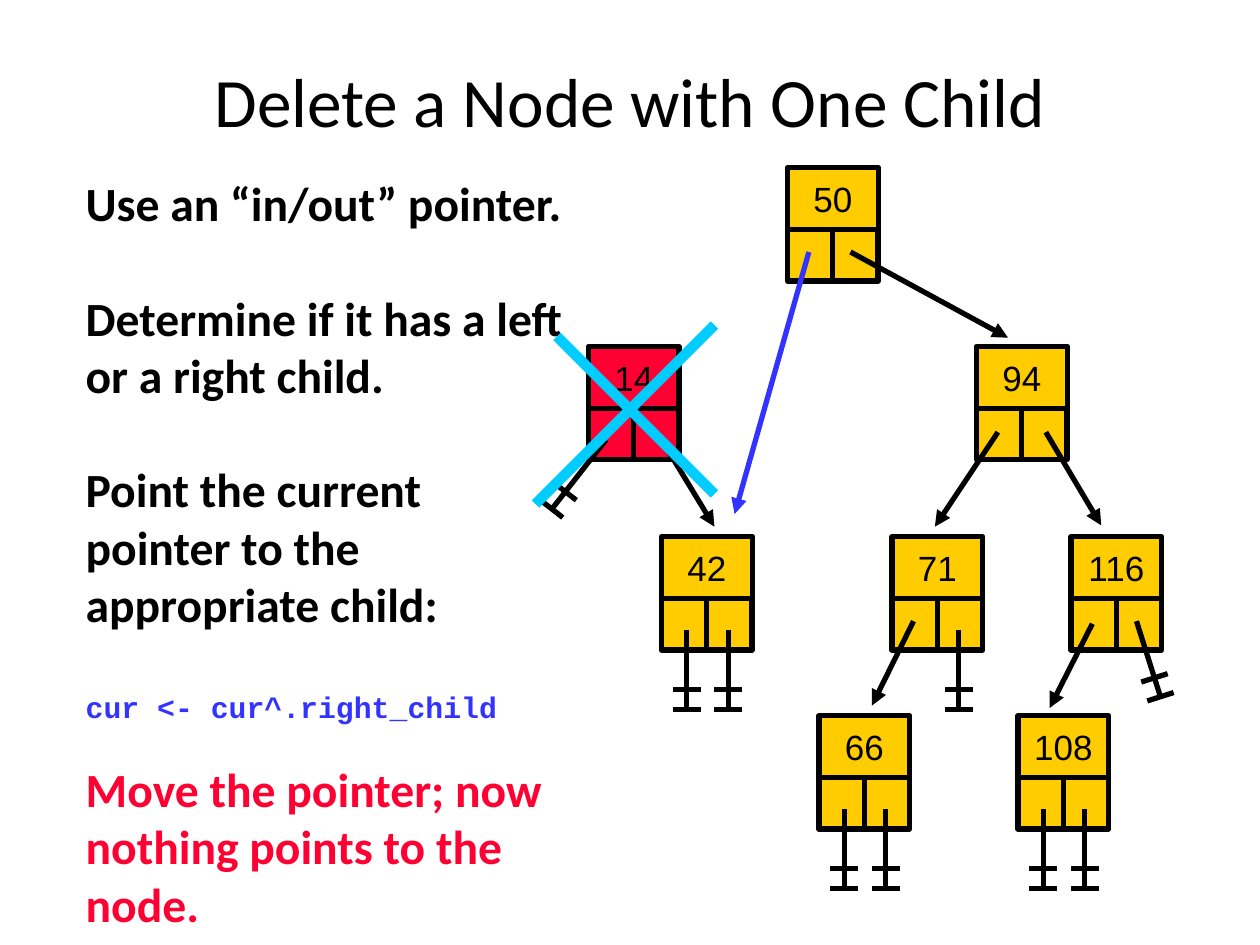
"""Build the slide on deleting a binary tree node that has one child."""
import math
from dataclasses import dataclass
from typing import NamedTuple

import pptx
import pptx.dml.color
import pptx.enum.shapes
import pptx.enum.text
import pptx.oxml.ns
import pptx.util
from lxml import etree

Inches = pptx.util.Inches
Pt = pptx.util.Pt
qn = pptx.oxml.ns.qn


@dataclass(frozen=True)
class Theme:
    black: str = "000000"
    gold: str = "FFCC00"
    red: str = "FF0033"
    blue: str = "3333FF"
    cyan: str = "00CCFF"
    heading: str = "Calibri"
    label: str = "Arial"
    mono: str = "Courier New"
    title_size: float = 39.6
    body_size: float = 27.2
    body_pitch: float = 32.7
    code_size: float = 17
    label_size: float = 20
    line: float = 3
    cross: float = 6


THEME = Theme()
CELL_W, HEAD_H, CELL_H = 0.36, 0.49, 0.41
LEFT_X, RIGHT_X, POINTER_Y, STEM = 0.2, 0.53, 0.74, 0.63
BAR_AT, BAR_HALF = 0.75, 0.11


class Node(NamedTuple):
    key: str
    x: float
    y: float
    fill: str = THEME.gold
    nulls: tuple = ()


class Line(NamedTuple):
    x1: float
    y1: float
    x2: float
    y2: float
    color: str = THEME.black
    width: float = THEME.line


BOTH = (LEFT_X, RIGHT_X)
NODES = [
    Node("14", 4.67, 2.75, THEME.red),
    Node("50", 6.25, 1.33),
    Node("94", 7.75, 2.75),
    Node("71", 7.08, 4.26, nulls=(RIGHT_X,)),
    Node("116", 8.5, 4.26),
    Node("108", 8.08, 5.68, nulls=BOTH),
    Node("66", 6.5, 5.68, nulls=BOTH),
    Node("42", 5.25, 4.26, nulls=BOTH),
]
LINKS = [
    Line(5.22, 3.44, 5.67, 4.18),
    Line(6.42, 2, 5.83, 4.08, THEME.blue),
    Line(6.75, 2, 8, 2.68),
    Line(7.92, 3.43, 7.42, 4.18),
    Line(8.3, 3.43, 8.74, 4.17),
    Line(7.25, 4.93, 6.92, 5.6),
    Line(8.67, 4.95, 8.33, 5.62),
]
SLANTED_NULLS = [Line(9.02, 4.93, 9.21, 5.53), Line(4.81, 3.49, 4.38, 4.04)]
CROSS = [
    Line(5.67, 2.58, 4.25, 4, THEME.cyan, THEME.cross),
    Line(4.42, 2.67, 5.67, 3.92, THEME.cyan, THEME.cross),
]


def rgb(color: str) -> pptx.dml.color.RGBColor:
    return pptx.dml.color.RGBColor.from_string(color)


def write(p, text: str, *, size: float = THEME.body_size, font: str = THEME.heading,
          color: str = THEME.black, bold: bool = False, align=None,
          before: float = 0, pitch: float | None = None) -> None:
    p.text = text
    p.alignment = align
    p.space_before = Pt(before)
    if pitch:
        p.line_spacing = Pt(pitch)
    for r in p.runs:
        r.font.size = Pt(size)
        r.font.name = font
        r.font.bold = bold
        r.font.color.rgb = rgb(color)


def place(s, x: float, y: float, w: float, h: float) -> None:
    s.left, s.top, s.width, s.height = (Inches(v) for v in (x, y, w, h))


def draw_line(shapes, line: Line, arrow: bool = False) -> None:
    c = shapes.add_connector(
        pptx.enum.shapes.MSO_CONNECTOR.STRAIGHT,
        *(Inches(v) for v in (line.x1, line.y1, line.x2, line.y2)))
    c.line.color.rgb = rgb(line.color)
    c.line.width = Pt(line.width)
    props = c.element.spPr
    if arrow:
        etree.SubElement(props.find(qn("a:ln")), qn("a:tailEnd"), type="triangle")
    etree.SubElement(props, qn("a:effectLst"))


def draw_box(shapes, x: float, y: float, w: float, h: float, fill: str):
    s = shapes.add_shape(pptx.enum.shapes.MSO_SHAPE.RECTANGLE,
                         *(Inches(v) for v in (x, y, w, h)))
    s.shadow.inherit = False
    s.fill.solid()
    s.fill.fore_color.rgb = rgb(fill)
    s.line.color.rgb = rgb(THEME.black)
    s.line.width = Pt(THEME.line)
    return s


def draw_node(shapes, node: Node) -> None:
    group = shapes.add_group_shape().shapes
    for i in range(2):
        draw_box(group, node.x + i * CELL_W, node.y + HEAD_H, CELL_W, CELL_H, node.fill)
    tf = draw_box(group, node.x, node.y, 2 * CELL_W, HEAD_H, node.fill).text_frame
    tf.margin_left = tf.margin_right = tf.margin_top = tf.margin_bottom = 0
    tf.vertical_anchor = pptx.enum.text.MSO_ANCHOR.MIDDLE
    write(tf.paragraphs[0], node.key, size=THEME.label_size, font=THEME.label,
          align=pptx.enum.text.PP_ALIGN.CENTER)


def draw_null(shapes, stem: Line) -> None:
    group = shapes.add_group_shape().shapes
    draw_line(group, stem)
    dx, dy = stem.x2 - stem.x1, stem.y2 - stem.y1
    scale = BAR_HALF / math.hypot(dx, dy)
    ox, oy = dy * scale, -dx * scale
    for t in (BAR_AT, 1):
        x, y = stem.x1 + t * dx, stem.y1 + t * dy
        draw_line(group, Line(x - ox, y - oy, x + ox, y + oy))


def fill_title(s) -> None:
    place(s, 0.75, 0.42, 8.5, 0.75)
    tf = s.text_frame
    tf.auto_size = pptx.enum.text.MSO_AUTO_SIZE.NONE
    tf.vertical_anchor = pptx.enum.text.MSO_ANCHOR.MIDDLE
    write(tf.paragraphs[0], "Delete a Node with One Child", size=THEME.title_size,
          align=pptx.enum.text.PP_ALIGN.CENTER)


def fill_body(s) -> None:
    place(s, 0.58, 1.33, 4.17, 5.67)
    tf = s.text_frame
    tf.auto_size = pptx.enum.text.MSO_AUTO_SIZE.NONE
    gap = pitch = THEME.body_pitch
    steps = [
        ("Use an “in/out” pointer.", dict(pitch=pitch)),
        ("Determine if it has a left or a right child.", dict(before=gap, pitch=pitch)),
        ("Point the current \vpointer to the appropriate child:",
         dict(before=gap, pitch=pitch)),
        ("cur <- cur^.right_child",
         dict(before=gap, size=THEME.code_size, font=THEME.mono, color=THEME.blue)),
        ("Move the pointer; now nothing points to the node.",
         dict(before=20, pitch=pitch, color=THEME.red)),
    ]
    for i, (text, style) in enumerate(steps):
        p = tf.add_paragraph() if i else tf.paragraphs[0]
        write(p, text, bold=True, **style)
        props = p._p.get_or_add_pPr()
        props.set("marL", "0")
        props.set("indent", "0")
        etree.SubElement(props, qn("a:buNone"))


def main() -> None:
    prs = pptx.Presentation()
    prs.slide_width, prs.slide_height = Inches(10), Inches(7.5)
    slide = prs.slides.add_slide(prs.slide_layouts[1])
    shapes = slide.shapes
    fill_title(shapes.title)
    fill_body(slide.placeholders[1])
    for node in NODES:
        draw_node(shapes, node)
    for link in LINKS:
        draw_line(shapes, link, arrow=True)
    upright = [Line(n.x + dx, n.y + POINTER_Y, n.x + dx, n.y + POINTER_Y + STEM)
               for n in NODES for dx in n.nulls]
    for stem in upright + SLANTED_NULLS:
        draw_null(shapes, stem)
    for stroke in CROSS:
        draw_line(shapes, stroke)
    prs.save("out.pptx")


if __name__ == "__main__":
    main()
